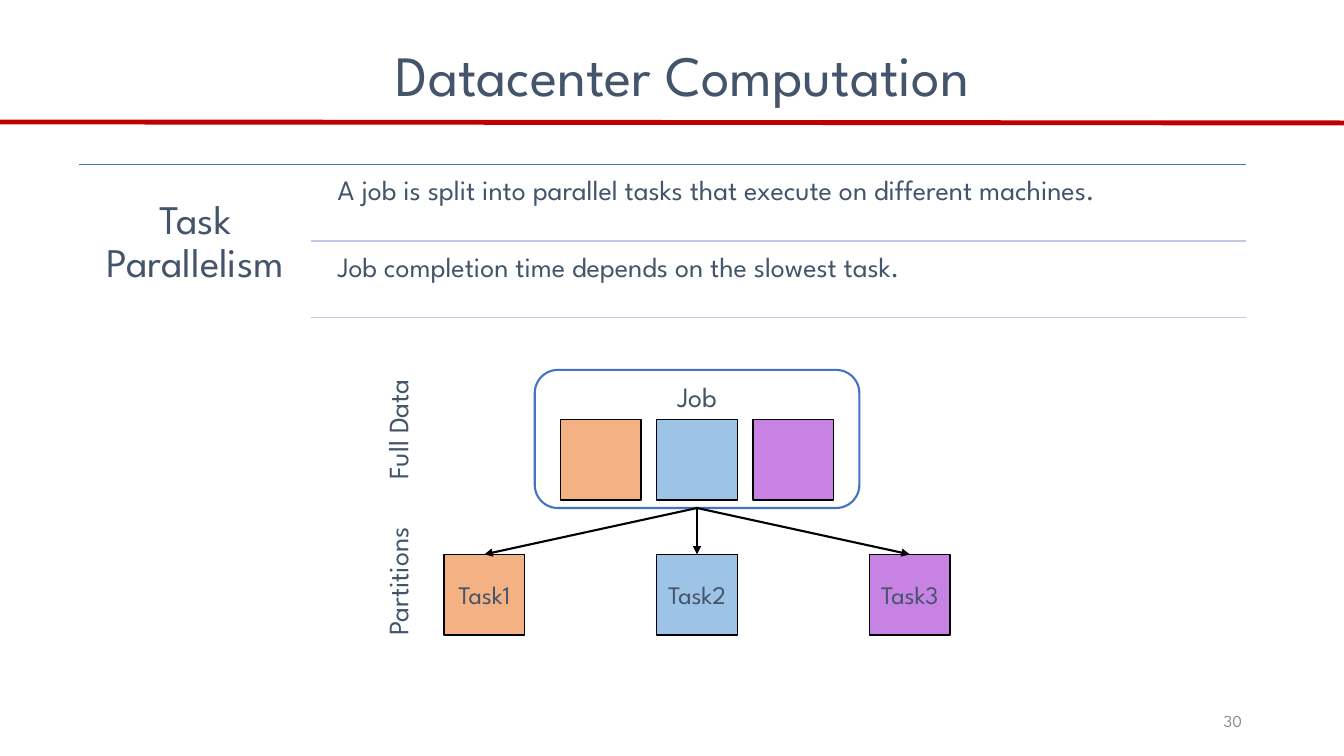
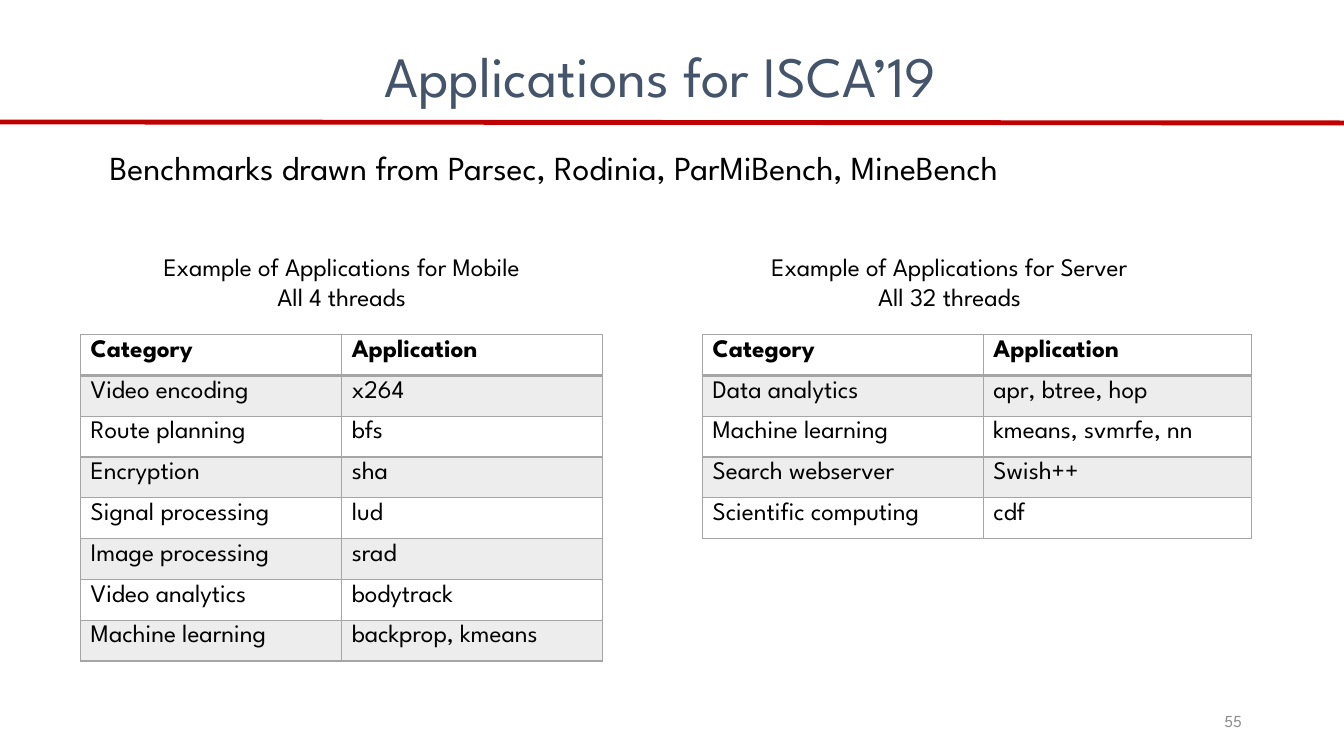
from dataclasses import dataclass

from lxml.etree import SubElement
from pptx import Presentation
from pptx.dml.color import RGBColor
from pptx.enum.shapes import MSO_CONNECTOR, MSO_SHAPE
from pptx.enum.text import MSO_ANCHOR, PP_ALIGN
from pptx.oxml.ns import qn
from pptx.presentation import Presentation as Deck
from pptx.shapes.autoshape import Shape
from pptx.slide import Slide
from pptx.table import _Cell
from pptx.text.text import TextFrame
from pptx.util import Inches, Length, Pt

COLS, ROWS = 133.33, 75  # grid of 0.1 inch cells


@dataclass(frozen=True)
class Theme:
    font: str = "League Spartan"
    ink: str = "44546A"
    black: str = "000000"
    white: str = "FFFFFF"
    muted: str = "8C8C8C"
    band: str = "C00000"
    accent: str = "4472C4"
    rule: str = "C1C9E4"
    border: str = "A5A5A5"
    stripe: str = "EDEDED"
    title: float = 40.7
    topic: float = 29
    lead: float = 24
    body: float = 20
    small: float = 18
    number: float = 12


THEME = Theme()


@dataclass(frozen=True)
class Box:
    """A place on the grid, in columns and rows."""
    col: float
    row: float
    cols: float
    rows: float

    def emu(self) -> tuple[Length, ...]:
        return tuple(cells(n) for n in (self.col, self.row, self.cols, self.rows))


@dataclass(frozen=True)
class Style:
    size: float
    color: str = THEME.ink
    align: PP_ALIGN = PP_ALIGN.LEFT
    anchor: MSO_ANCHOR = MSO_ANCHOR.TOP
    spacing: float = 1.0
    inset: float | None = None
    bold: bool = False


@dataclass(frozen=True)
class Task:
    name: str
    color: str


@dataclass(frozen=True)
class AppTable:
    caption: list[str]
    caption_col: float
    col: float
    widths: tuple[float, float]
    apps: list[tuple[str, str]]


CENTER = PP_ALIGN.CENTER
TITLE = Style(THEME.title, align=CENTER, spacing=0.7)
NUMBER = Style(THEME.number, THEME.muted, PP_ALIGN.RIGHT, MSO_ANCHOR.MIDDLE)
TOPIC = Style(THEME.topic, align=CENTER, anchor=MSO_ANCHOR.MIDDLE, spacing=0.9, inset=1.2)
POINT = Style(THEME.body, spacing=0.9, inset=0.8)
LABEL = Style(THEME.body, align=CENTER)
TASK = Style(THEME.small, align=CENTER, anchor=MSO_ANCHOR.MIDDLE, inset=0)
LEAD = Style(THEME.lead, THEME.black)
CAPTION = Style(THEME.small, THEME.black, CENTER)
CELL = Style(THEME.small, THEME.black)
HEAD = Style(THEME.small, THEME.black, bold=True)

POINTS = [
    "A job is split into parallel tasks that execute on different machines.",
    "Job completion time depends on the slowest task.",
]
TASKS = [Task("Task1", "F4B183"), Task("Task2", "9DC3E6"), Task("Task3", "C782E4")]
HEADER = ("Category", "Application")
TABLES = [
    AppTable(
        ["Example of Applications for Mobile", "All 4 threads"], 8, 8, (25.9, 25.9),
        [("Video encoding", "x264"), ("Route planning", "bfs"), ("Encryption", "sha"),
         ("Signal processing", "lud"), ("Image processing", "srad"),
         ("Video analytics", "bodytrack"), ("Machine learning", "backprop, kmeans")]),
    AppTable(
        ["Example of Applications for Server", "All 32 threads"], 68.3, 69.7, (27.85, 26.6),
        [("Data analytics", "apr, btree, hop"), ("Machine learning", "kmeans, svmrfe, nn"),
         ("Search webserver", "Swish++"), ("Scientific computing", "cdf")]),
]


def cells(count: float) -> Length:
    return Inches(count / 10)


def rgb(color: str) -> RGBColor:
    return RGBColor.from_string(color)


def write(tf: TextFrame, lines: list[str], style: Style) -> None:
    tf.word_wrap = True
    tf.vertical_anchor = style.anchor
    if style.inset is not None:
        tf.margin_left = tf.margin_right = cells(style.inset)
        tf.margin_top = tf.margin_bottom = cells(style.inset)
    for i, line in enumerate(lines):
        p = tf.add_paragraph() if i else tf.paragraphs[0]
        p.text = line
        p.alignment = style.align
        p.line_spacing = style.spacing
        p.font.name = THEME.font
        p.font.size = Pt(style.size)
        p.font.bold = style.bold
        p.font.color.rgb = rgb(style.color)


def add_text(s: Slide, box: Box, lines: list[str], style: Style, rotation: float = 0) -> None:
    sp = s.shapes.add_textbox(*box.emu())
    sp.rotation = rotation
    write(sp.text_frame, lines, style)


def add_block(s: Slide, kind: MSO_SHAPE, box: Box, fill: str, line: str, width: float) -> Shape:
    sp = s.shapes.add_shape(kind, *box.emu())
    sp.shadow.inherit = False
    sp.fill.solid()
    sp.fill.fore_color.rgb = rgb(fill)
    sp.line.color.rgb = rgb(line)
    sp.line.width = Pt(width)
    return sp


def add_line(s: Slide, start: tuple[float, float], end: tuple[float, float],
             color: str, width: float, arrow: bool = False) -> None:
    cx = s.shapes.add_connector(MSO_CONNECTOR.STRAIGHT, *map(cells, start + end))
    cx.line.color.rgb = rgb(color)
    cx.line.width = Pt(width)
    if arrow:
        SubElement(cx.line._get_or_add_ln(), qn("a:tailEnd"), type="triangle")
    SubElement(cx._element.spPr, qn("a:effectLst"))


def add_border(cell: _Cell, side: str, width: float) -> None:
    ln = SubElement(cell._tc.get_or_add_tcPr(), qn(f"a:ln{side}"), w=str(Pt(width)))
    SubElement(SubElement(ln, qn("a:solidFill")), qn("a:srgbClr"), val=THEME.border)


def add_app_table(s: Slide, table: AppTable) -> None:
    add_text(s, Box(table.caption_col, 24.4, 51.8, 7.1), table.caption, CAPTION)
    rows = [HEADER, *table.apps]
    row_height = 4.05
    box = Box(table.col, 33.2, sum(table.widths), row_height * len(rows))
    tbl = s.shapes.add_table(len(rows), len(HEADER), *box.emu()).table
    tbl.first_row = tbl.horz_banding = False
    for column, width in zip(tbl.columns, table.widths):
        column.width = cells(width)
    for r, texts in enumerate(rows):
        tbl.rows[r].height = cells(row_height)
        for c, text in enumerate(texts):
            cell = tbl.cell(r, c)
            write(cell.text_frame, [text], CELL if r else HEAD)
            for side in "LRTB":
                under_header = (r, side) in ((0, "B"), (1, "T"))
                add_border(cell, side, 2 if under_header else 1)
            if r % 2:
                cell.fill.solid()
                cell.fill.fore_color.rgb = rgb(THEME.stripe)
            else:
                cell.fill.background()


def add_base(prs: Deck, title: str, title_box: Box, number: int) -> Slide:
    """Add a slide with the title, red line and slide number."""
    s = prs.slides.add_slide(prs.slide_layouts[6])
    add_line(s, (0, 12.1), (COLS, 12.2), THEME.band, 3.5)
    add_text(s, Box(94.2, 69.5, 30, 4), [str(number)], NUMBER)
    add_text(s, title_box, [title], TITLE)
    return s


def add_points(s: Slide) -> None:
    left, text_left, right, top, pitch = 7.8, 32.7, 123.6, 16.3, 7.6
    add_line(s, (left, top), (right, top), THEME.accent, 1)
    add_text(s, Box(left, top, 23.2, 15.6), ["Task Parallelism"], TOPIC)
    for i, point in enumerate(POINTS):
        row = top + i * pitch
        add_text(s, Box(text_left, row + 0.4, right - text_left, 7.2), [point], POINT)
        add_line(s, (left + 23.1, row + pitch), (right, row + pitch), THEME.rule, 1)


def add_job_diagram(s: Slide) -> None:
    middle, side, data_row, task_row = 69.15, 8, 41.6, 55
    job = Box(middle - 16.1, 36.7, 32.2, 13.7)
    add_block(s, MSO_SHAPE.ROUNDED_RECTANGLE, job, THEME.white, THEME.accent, 1.5)
    for i, task in enumerate(TASKS, start=-1):
        data_left, task_middle = middle + i * 9.55 - side / 2, middle + i * 21.1
        add_block(s, MSO_SHAPE.RECTANGLE, Box(data_left, data_row, side, side),
                  task.color, THEME.black, 1)
        sp = add_block(s, MSO_SHAPE.RECTANGLE, Box(task_middle - side / 2, task_row, side, side),
                       task.color, THEME.black, 1)
        write(sp.text_frame, [task.name], TASK)
        add_line(s, (middle, job.row + job.rows), (task_middle, task_row),
                 THEME.black, 1.5, arrow=True)
    for label, row in (("Full Data", 40.4), ("Partitions", 55.5)):
        add_text(s, Box(31.3, row, 16.3, 4.4), [label], LABEL, rotation=270)
    add_text(s, Box(middle - 8.15, 37.2, 16.3, 4.4), ["Job"], LABEL)


def main() -> None:
    prs = Presentation()
    prs.slide_width, prs.slide_height = cells(COLS), cells(ROWS)

    s = add_base(prs, "Datacenter Computation", Box(10.2, 5.3, 115, 6.1), 30)
    add_points(s)
    add_job_diagram(s)

    s = add_base(prs, "Applications for ISCA’19", Box(8, 5.4, 115, 6.1), 55)
    add_text(s, Box(9.9, 14.1, 118.4, 5),
             ["Benchmarks drawn from Parsec, Rodinia, ParMiBench, MineBench"], LEAD)
    for table in TABLES:
        add_app_table(s, table)

    prs.save("out.pptx")


if __name__ == "__main__":
    main()
